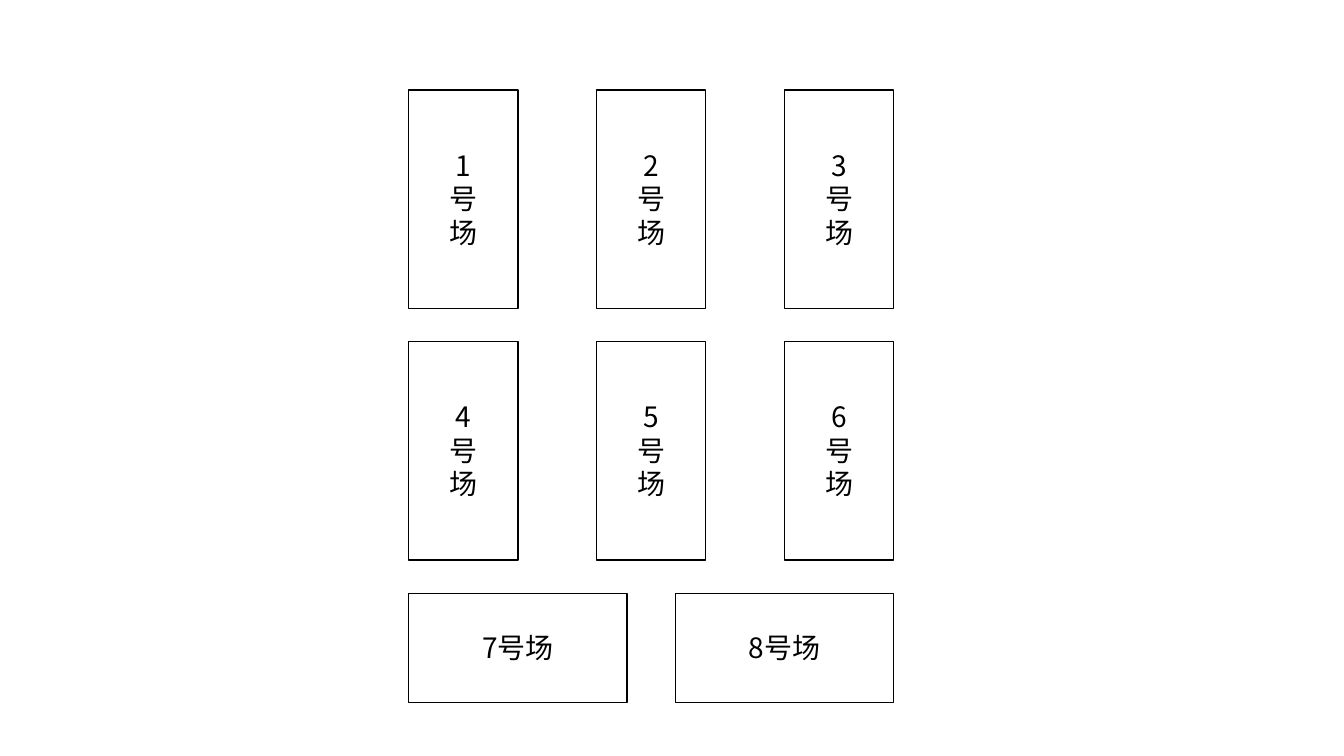
from dataclasses import dataclass

from pptx import Presentation
from pptx.dml.color import RGBColor
from pptx.enum import shapes, text
from pptx.oxml.ns import qn
from pptx.util import Pt

FONT = "Noto Sans CJK SC"
BLACK = "000000"
SHORT, LONG = 78, 156          # sides of a court
LEFT, TOP = 292, 64.2          # corner of court 1
COLUMN_STEP, ROW_STEP = 134.2, 179.8
BOTTOM_TOP, BOTTOM_STEP = 424, 190.4


@dataclass
class Court:
    number: int
    left: float
    top: float
    upright: bool

    @property
    def size(self) -> tuple[float, float]:
        return (SHORT, LONG) if self.upright else (LONG, SHORT)

    @property
    def label_size(self) -> tuple[float, float]:
        # The upright label is one character wide, so it wraps into a column
        return (38, 80) if self.upright else (75, 32)


def color(value: str) -> RGBColor:
    return RGBColor.from_string(value)


def draw_outline(page, court: Court) -> None:
    width, height = court.size
    outline = page.shapes.add_shape(
        shapes.MSO_SHAPE.RECTANGLE,
        Pt(court.left), Pt(court.top), Pt(width), Pt(height))
    outline.name = f"Court {court.number}"
    outline.shadow.inherit = False
    outline.fill.background()
    outline.line.color.rgb = color(BLACK)
    outline.line.width = Pt(1)


def draw_label(page, court: Court) -> None:
    width, height = court.size
    label_width, label_height = court.label_size
    box = page.shapes.add_textbox(
        Pt(court.left + (width - label_width) / 2),
        Pt(court.top + (height - label_height) / 2),
        Pt(label_width), Pt(label_height))
    box.name = f"Label {court.number}"
    frame = box.text_frame
    frame.word_wrap = True
    frame.auto_size = text.MSO_AUTO_SIZE.SHAPE_TO_FIT_TEXT
    frame.text = f"{court.number}号场"
    para = frame.paragraphs[0]
    para.alignment = text.PP_ALIGN.CENTER
    font = para.runs[0].font
    font.name, font.size = FONT, Pt(20)
    font.color.rgb = color(BLACK)
    # East Asian characters take their own typeface
    east_asian = font._element.makeelement(qn("a:ea"), {"typeface": FONT})
    font._element.append(east_asian)


deck = Presentation()
deck.slide_width, deck.slide_height = Pt(960), Pt(540)
page = deck.slides.add_slide(deck.slide_layouts[6])

# Courts 1 to 6 stand in a grid, 7 and 8 lie below it
courts = [Court(3 * row + column + 1, LEFT + column * COLUMN_STEP,
                TOP + row * ROW_STEP, True)
          for row in range(2) for column in range(3)]
courts += [Court(7 + column, LEFT + column * BOTTOM_STEP, BOTTOM_TOP, False)
           for column in range(2)]

for court in courts:
    draw_outline(page, court)
    draw_label(page, court)

deck.save("out.pptx")
